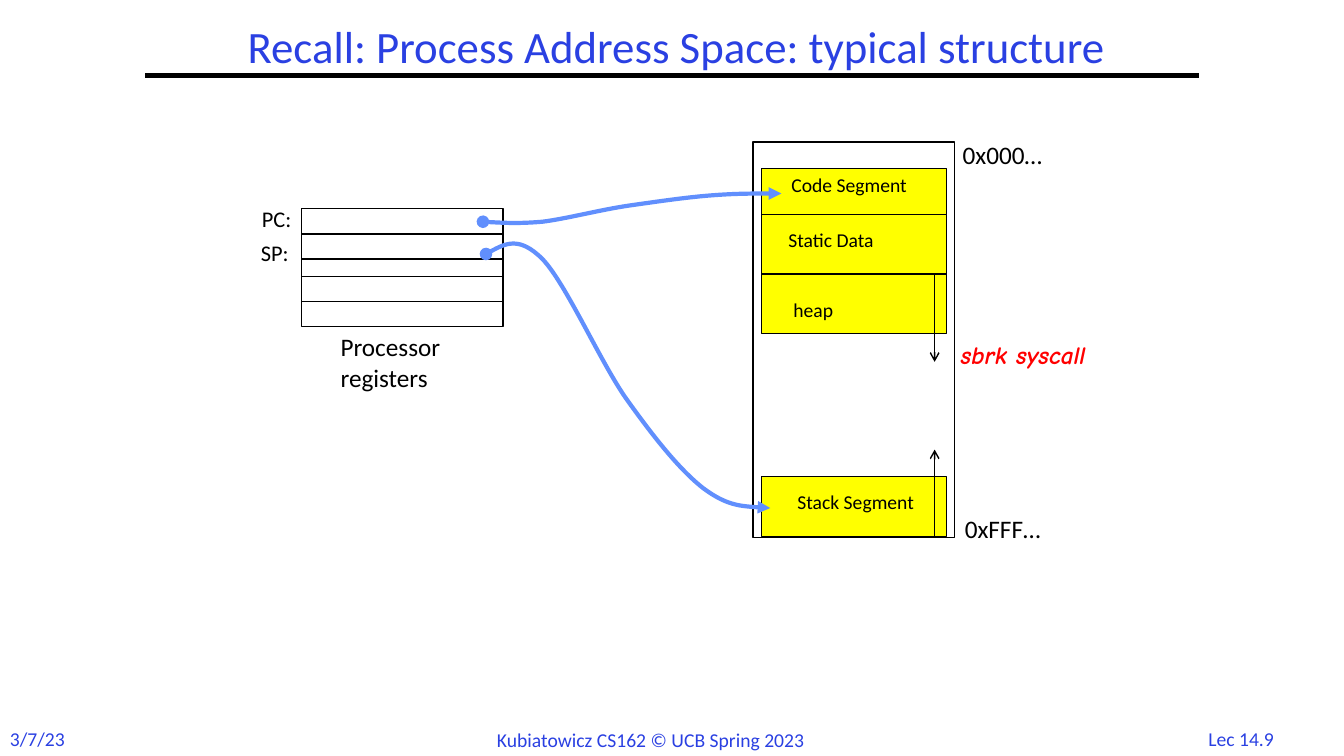
from dataclasses import dataclass

from lxml import etree
from pptx import Presentation
from pptx import util as u
from pptx.dml import color
from pptx.enum import shapes, text
from pptx.oxml import ns


@dataclass
class Theme:
    blue: str = "2A40E2"
    black: str = "000000"
    red: str = "FF0000"
    yellow: str = "FFFF00"
    curve: str = "618FFD"
    font: str = "Calibri"
    hand: str = "Comic Neue"
    title: int = 32
    label: int = 18
    reg: int = 16
    small: int = 14


theme = Theme()
rgb = color.RGBColor.from_string
deck = Presentation()
deck.slide_width, deck.slide_height = u.Inches(13.33), u.Inches(7.5)
slide = deck.slides.add_slide(deck.slide_layouts[6])
items = slide.shapes


def write(words, x, y, w, h, size, ink=theme.black, wrap=False, center=False):
    box = items.add_textbox(*map(u.Inches, (x, y, w, h)))
    frame = box.text_frame
    frame.word_wrap = wrap
    frame.auto_size = text.MSO_AUTO_SIZE.SHAPE_TO_FIT_TEXT
    frame.text = words
    for para in frame.paragraphs:
        para.alignment = text.PP_ALIGN.CENTER if center else text.PP_ALIGN.LEFT
        para.font.name, para.font.size = theme.font, u.Pt(size)
        para.font.color.rgb = rgb(ink)
    return box


def stroke(shape, ink, width, head=None, tail=None):
    shape.line.color.rgb = rgb(ink)
    shape.line.width = u.Pt(width)
    line = shape.line._get_or_add_ln()
    for tag, kind in (("a:headEnd", head), ("a:tailEnd", tail)):
        if kind:
            etree.SubElement(line, ns.qn(tag), type=kind)
    props = shape.element.spPr
    if props.find(ns.qn("a:effectLst")) is None:
        etree.SubElement(props, ns.qn("a:effectLst"))


# Footer and title
write("Lec 14.9", 11.77, 7.16, 1.08, 0.33, theme.small, theme.blue, center=True)
write("3/7/23", 0, 7.16, 0.75, 0.34, theme.small, theme.blue)
write("Kubiatowicz CS162 © UCB Spring 2023", 4.83, 7.17, 3.68, 0.34,
      theme.small, theme.blue)
title = write("Recall: Process Address Space: typical structure",
              1.75, 0.13, 9.92, 0.71, theme.title, theme.blue, True, True)
title.text_frame.auto_size = text.MSO_AUTO_SIZE.NONE
title.text_frame.vertical_anchor = text.MSO_ANCHOR.MIDDLE
title.text_frame.paragraphs[0].line_spacing = 0.9

# Registers, address space and its segments
blocks = [(2.99, y, 2, h, None) for y, h in ((2.07, 1.17), (2.32, 0.25), (2.74, 0.25))]
blocks.append((7.47, 1.41, 2, 3.92, None))
blocks += [(7.55, y, 1.84, h, theme.yellow)
           for y, h in ((1.67, 0.46), (2.13, 0.59), (2.72, 0.59), (4.73, 0.59))]
for *place, fill in blocks:
    rect = items.add_shape(shapes.MSO_SHAPE.RECTANGLE, *map(u.Inches, place))
    rect.shadow.inherit = False
    if fill:
        rect.fill.solid()
        rect.fill.fore_color.rgb = rgb(fill)
    else:
        rect.fill.background()
    stroke(rect, theme.black, 1)

# Labels
write("Processor\nregisters", 3.28, 3.24, 1.34, 0.71, theme.label)
write("PC:", 2.5, 1.99, 0.58, 0.37, theme.reg)
write("SP:", 2.49, 2.32, 0.56, 0.37, theme.reg)
write("0x000…", 9.45, 1.33, 1.14, 0.4, theme.label)
write("0xFFF…", 9.47, 5.04, 1.18, 0.4, theme.label)
write("Code Segment", 7.75, 1.67, 1.51, 0.34, theme.small)
data = write("Static Data", 7.72, 2.21, 1.16, 0.34, theme.small)
data.fill.solid()
data.fill.fore_color.rgb = rgb(theme.yellow)
write("heap", 7.77, 2.91, 0.99, 0.34, theme.small, wrap=True)
write("Stack Segment", 7.81, 4.81, 1.53, 0.34, theme.small)

# Title rule and growth arrows
for x1, y1, x2, y2, width, tail in (
        (1.44, 0.75, 11.89, 0.75, 3, None),
        (9.27, 5.32, 9.27, 4.46, 1, "arrow"),
        (9.27, 2.72, 9.27, 3.59, 1, "arrow")):
    line = items.add_connector(shapes.MSO_CONNECTOR.STRAIGHT,
                               *map(u.Inches, (x1, y1, x2, y2)))
    stroke(line, theme.black, width, tail=tail)

# Pointers from the registers: a start, then three points for each Bezier piece
pointers = (
    ((4.79, 2.2), (4.97, 2.21), (5.14, 2.22), (5.38, 2.2),
     (5.62, 2.17), (5.96, 2.08), (6.24, 2.04),
     (6.52, 2), (6.79, 1.96), (7.04, 1.94),
     (7.29, 1.92), (7.52, 1.92), (7.75, 1.92)),
    ((4.82, 2.52), (4.98, 2.43), (5.15, 2.34), (5.38, 2.57),
     (5.61, 2.81), (5.94, 3.56), (6.2, 3.94),
     (6.47, 4.32), (6.73, 4.65), (6.97, 4.84),
     (7.21, 5.02), (7.43, 5.03), (7.64, 5.04)),
)
for points in pointers:
    start, *rest = [(u.Inches(x), u.Inches(y)) for x, y in points]
    form = items.build_freeform(*start)
    form.add_line_segments(rest, close=False)
    curve = form.convert_to_shape()
    curve.shadow.inherit = False
    curve.fill.background()
    stroke(curve, theme.curve, 3, "oval", "triangle")
    legs = list(curve.element.iter(ns.qn("a:lnTo")))
    for i in range(0, len(legs), 3):
        first, *others = legs[i:i + 3]
        bend = etree.Element(ns.qn("a:cubicBezTo"))
        first.addprevious(bend)
        for leg in (first, *others):
            bend.append(leg[0])
            leg.getparent().remove(leg)

# Heap growth call
call = write("sbrk syscall", 9.43, 3.32, 1.63, 0.4, theme.label, theme.red)
font = call.text_frame.paragraphs[0].font
font.name, font.bold, font.italic = theme.hand, True, True

deck.save("out.pptx")
